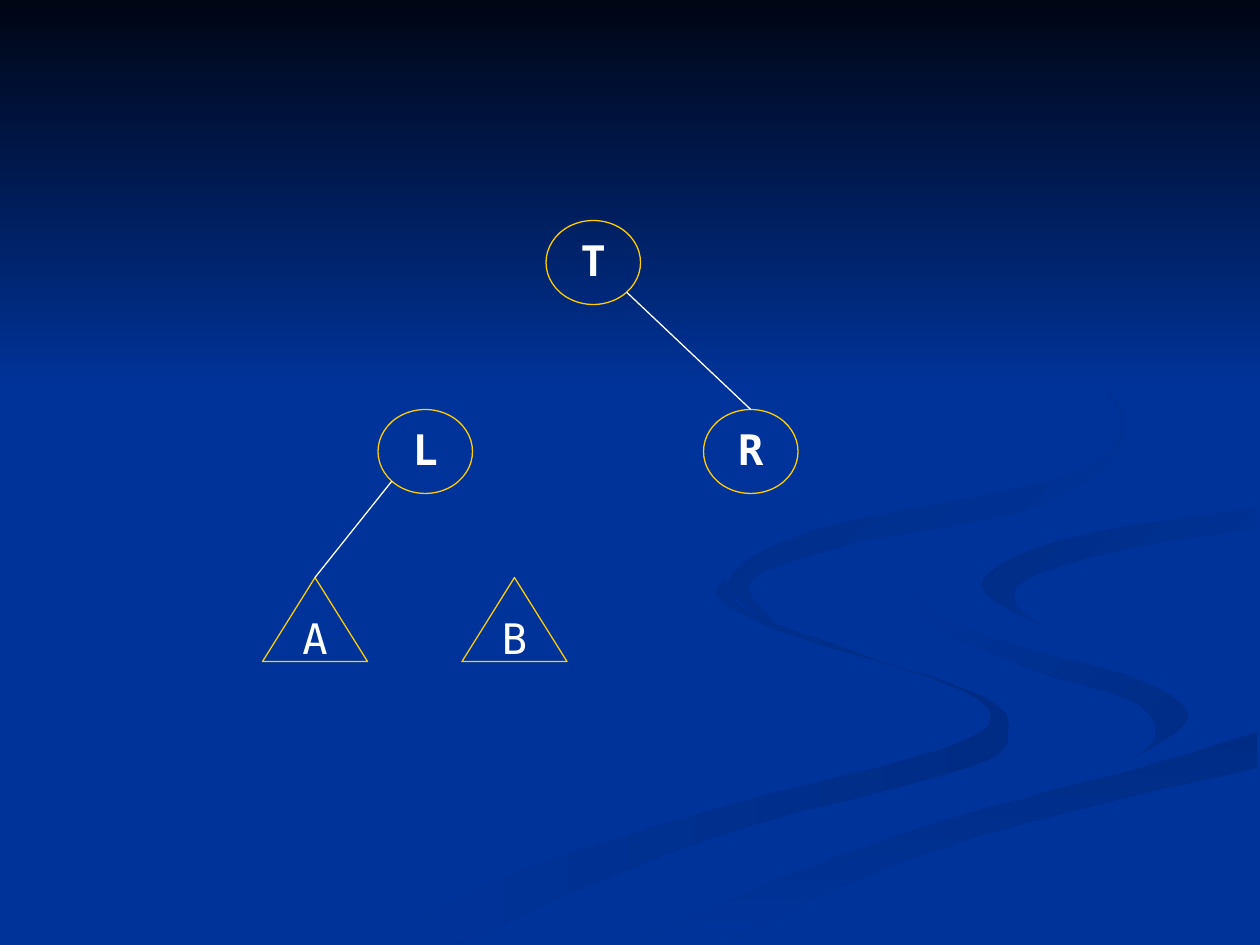
from dataclasses import dataclass
from math import sqrt

from lxml import etree
from pptx import Presentation
from pptx.dml.color import RGBColor
from pptx.enum.shapes import MSO_CONNECTOR, MSO_SHAPE
from pptx.enum.text import MSO_ANCHOR, PP_ALIGN
from pptx.oxml.ns import qn
from pptx.util import Pt

OVAL = MSO_SHAPE.OVAL
TRIANGLE = MSO_SHAPE.ISOSCELES_TRIANGLE
RECTANGLE = MSO_SHAPE.RECTANGLE
STRAIGHT = MSO_CONNECTOR.STRAIGHT
CENTER = PP_ALIGN.CENTER
MIDDLE = MSO_ANCHOR.MIDDLE


@dataclass(frozen=True)
class Theme:
    background: str = "003399"
    night: str = "000514"
    shade: str = "002C85"
    outline: str = "FFCC00"
    text: str = "FFFFFF"
    edge: str = "FFFFFF"
    font: str = "DejaVu Sans Mono"
    label_size: float = 24
    line_width: float = 0.75
    ribbon_unit: float = 0.72


# Ribbons from back to front: whether the shade comes first, angle, two edges
RIBBONS = [
    (True, 180,
     [(575, 459), (594, 485), (682, 519), (781, 553), (800, 581), (769, 609),
      (564, 665), (361, 749)],
     [(575, 459), (572, 476), (631, 505), (741, 539), (786, 566), (749, 594),
      (579, 639), (417, 690), (300, 749)]),
    (True, 225,
     [(724, 464), (745, 490), (830, 519), (905, 540), (943, 570), (894, 605)],
     [(724, 464), (739, 494), (815, 530), (900, 557), (917, 585), (894, 605)]),
    (True, 90,
     [(503, 749), (630, 693), (764, 647), (903, 610), (998, 581)],
     [(571, 749), (695, 692), (821, 651), (998, 609)]),
    (False, 225,
     [(998, 402), (849, 427), (783, 457), (791, 478), (826, 496)],
     [(998, 420), (896, 435), (816, 459), (806, 480), (826, 496)]),
    (False, 225,
     [(762, 233), (843, 275), (894, 344), (825, 402), (683, 430), (596, 461),
      (622, 500)],
     [(762, 233), (846, 279), (889, 335), (842, 378), (649, 420), (578, 462),
      (622, 500)]),
]


def smooth(points, steps=6):
    """Return points along a Catmull-Rom curve through the given points."""
    padded = [points[0], *points, points[-1]]
    curve = []
    for a, b, c, d in zip(padded, padded[1:], padded[2:], padded[3:]):
        for step in range(steps):
            t = step / steps
            curve.append(tuple(
                q + t * (r - p) / 2 + t**2 * (2 * p - 5 * q + 4 * r - s) / 2
                + t**3 * (3 * q - p - 3 * r + s) / 2
                for p, q, r, s in zip(a, b, c, d)))
    return curve + [points[-1]]


class TreePage:
    def __init__(self, deck, theme):
        self.theme = theme
        self.page = deck.slides.add_slide(deck.slide_layouts[6])
        self.shapes = self.page.shapes
        fill = self.page.background.fill
        fill.solid()
        fill.fore_color.rgb = RGBColor.from_string(theme.background)

    def paint(self, shape, colors, angle):
        shape.shadow.inherit = False
        shape.line.fill.background()
        shape.fill.gradient()
        shape.fill.gradient_angle = 360 - angle
        for position, (stop, color) in enumerate(zip(shape.fill.gradient_stops, colors)):
            stop.color.rgb = RGBColor.from_string(color)
            stop.position = position

    def ribbon(self, shade_first, angle, upper, lower):
        points = smooth(upper) + smooth(lower)[::-1]
        builder = self.shapes.build_freeform(*points[0], scale=Pt(self.theme.ribbon_unit))
        builder.add_line_segments(points[1:], close=True)
        colors = [self.theme.background, self.theme.shade]
        self.paint(builder.convert_to_shape(), colors[::-1] if shade_first else colors, angle)

    def sky(self, width, height):
        band = self.shapes.add_shape(RECTANGLE, 0, 0, Pt(width), Pt(height))
        self.paint(band, [self.theme.night, self.theme.background], 90)

    def node(self, kind, label, left, top, width, bold=False, height=48):
        shape = self.shapes.add_shape(kind, Pt(left), Pt(top), Pt(width), Pt(height))
        shape.shadow.inherit = False
        shape.fill.background()
        shape.line.color.rgb = RGBColor.from_string(self.theme.outline)
        shape.line.width = Pt(self.theme.line_width)
        frame = shape.text_frame
        frame.text = label
        frame.word_wrap = False
        frame.vertical_anchor = MIDDLE
        para = frame.paragraphs[0]
        para.alignment = CENTER
        para.line_spacing = 0.9
        para.space_before = Pt(6)
        font = para.runs[0].font
        font.name = self.theme.font
        font.size = Pt(self.theme.label_size)
        font.bold = bold
        font.color.rgb = RGBColor.from_string(self.theme.text)
        return shape

    def edge(self, parent, child, side):
        """Join a circle's lower corner (side -1 left, 1 right) to a child's top."""
        reach = 1 / sqrt(2)
        x = parent.left + parent.width / 2 * (1 + side * reach)
        y = parent.top + parent.height / 2 * (1 + reach)
        line = self.shapes.add_connector(
            STRAIGHT, int(x), int(y), child.left + child.width // 2, child.top)
        line.line.color.rgb = RGBColor.from_string(self.theme.edge)
        line.line.width = Pt(self.theme.line_width)
        etree.SubElement(line._element.spPr, qn("a:effectLst"))


def main():
    deck = Presentation()
    deck.slide_width, deck.slide_height = Pt(720), Pt(540)
    tree = TreePage(deck, Theme())

    # Backdrop
    for ribbon in RIBBONS:
        tree.ribbon(*ribbon)
    tree.sky(720, 222)

    # Circles are nodes, triangles are subtrees
    root = tree.node(OVAL, "T", 312, 126, 54, bold=True)
    left = tree.node(OVAL, "L", 216, 234, 54, bold=True)
    right = tree.node(OVAL, "R", 402, 234, 54, bold=True)
    subtree = tree.node(TRIANGLE, "A", 150, 330, 60)
    tree.node(TRIANGLE, "B", 264, 330, 60)

    # Links that remain
    tree.edge(left, subtree, -1)
    tree.edge(root, right, 1)

    deck.save("out.pptx")


if __name__ == "__main__":
    main()
